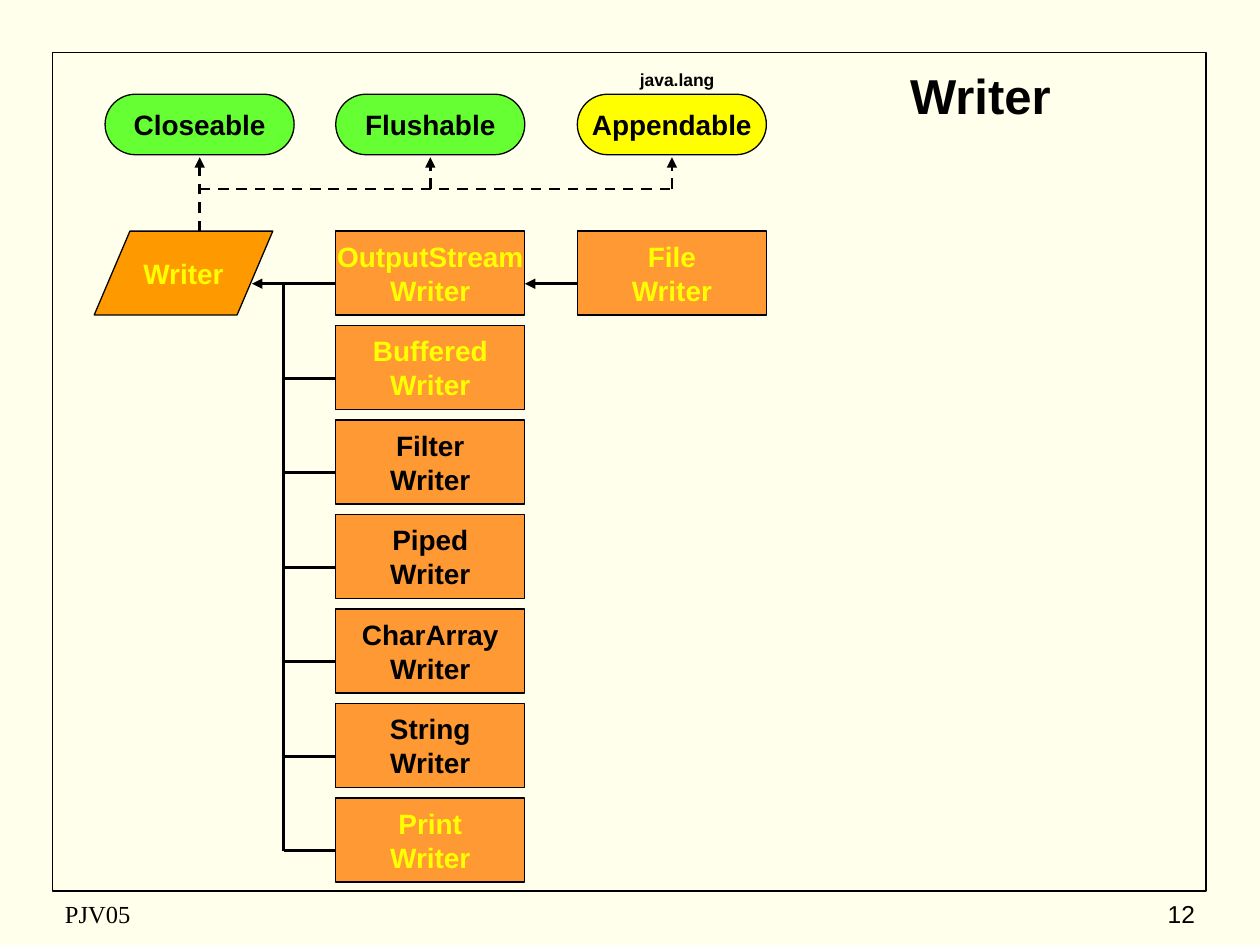
from dataclasses import dataclass

from lxml.etree import SubElement
from pptx import Presentation
from pptx.dml.color import RGBColor
from pptx.enum.dml import MSO_LINE_DASH_STYLE as Dash
from pptx.enum.shapes import MSO_CONNECTOR as Connector, MSO_SHAPE as Shape
from pptx.enum.text import MSO_ANCHOR as Anchor, PP_ALIGN as Align
from pptx.oxml.ns import qn
from pptx.util import Cm, Pt

BLACK, YELLOW, GREEN = "000000", "FFFF00", "66FF33"
ORANGE, DEEP_ORANGE, CREAM = "FF9933", "FF9900", "FFFFEB"

BOX_WIDTH, BOX_HEIGHT = 3.81, 1.69
ROW_TOP, ROW_STEP = 4.66, BOX_WIDTH / 2
LINK_DROP = 1.06
STREAM_LEFT, FILE_LEFT = 6.77, 11.64
TRUNK_X = 5.72
INTERFACE_TOP, INTERFACE_HEIGHT = 1.9, 1.22
BUS_Y, ARROW_TIP_Y = 3.81, 3.17


@dataclass(frozen=True)
class Node:
    lines: tuple[str, ...]
    left: float
    top: float
    fill: str = ORANGE
    ink: str = YELLOW
    kind: Shape = Shape.FLOWCHART_PROCESS
    width: float = BOX_WIDTH
    height: float = BOX_HEIGHT


@dataclass(frozen=True)
class Link:
    start: tuple[float, float]
    end: tuple[float, float]
    arrow: bool = False
    dashed: bool = False


@dataclass(frozen=True)
class Label:
    text: str
    left: float
    top: float
    width: float
    height: float
    size: int
    font: str = "Arial"
    bold: bool = False
    align: Align = Align.LEFT
    anchor: Anchor = Anchor.MIDDLE


def color(value: str) -> RGBColor:
    return RGBColor.from_string(value)


def write(frame, lines: tuple[str, ...], size: int, ink: str = BLACK,
          font: str = "Arial", bold: bool = True, align: Align = Align.CENTER,
          anchor: Anchor = Anchor.MIDDLE, wrap: bool = True) -> None:
    frame.word_wrap = wrap
    frame.vertical_anchor = anchor
    frame.text = "\n".join(lines)
    for para in frame.paragraphs:
        para.alignment = align
        para.font.name = font
        para.font.size = Pt(size)
        para.font.bold = bold
        para.font.color.rgb = color(ink)


def draw_frame(page) -> None:
    box = page.shapes.add_shape(Shape.RECTANGLE, Cm(1.06), Cm(1.06), Cm(23.25), Cm(16.9))
    box.shadow.inherit = False
    box.fill.background()
    box.line.color.rgb = color(BLACK)
    box.line.width = Pt(1)


def draw_node(page, node: Node) -> None:
    box = page.shapes.add_shape(
        node.kind, Cm(node.left), Cm(node.top), Cm(node.width), Cm(node.height))
    box.shadow.inherit = False
    box.fill.solid()
    box.fill.fore_color.rgb = color(node.fill)
    box.line.color.rgb = color(BLACK)
    box.line.width = Pt(0.75)
    write(box.text_frame, node.lines, 16, node.ink, wrap=False)


def draw_link(page, link: Link) -> None:
    line = page.shapes.add_connector(
        Connector.STRAIGHT, *(Cm(value) for value in link.start + link.end))
    line.line.color.rgb = color(BLACK)
    line.line.width = Pt(1.5)
    if link.dashed:
        line.line.dash_style = Dash.DASH
    properties = line._element.spPr
    if link.arrow:
        SubElement(properties.find(qn("a:ln")), qn("a:tailEnd"), type="triangle")
    SubElement(properties, qn("a:effectLst"))


def draw_label(page, label: Label) -> None:
    box = page.shapes.add_textbox(
        Cm(label.left), Cm(label.top), Cm(label.width), Cm(label.height))
    write(box.text_frame, (label.text,), label.size, font=label.font,
          bold=label.bold, align=label.align, anchor=label.anchor)


def interface(name: str, left: float, fill: str) -> Node:
    return Node((name,), left, INTERFACE_TOP, fill, BLACK,
                Shape.FLOWCHART_TERMINATOR, height=INTERFACE_HEIGHT)


SUBCLASSES = (
    ("OutputStream", YELLOW),
    ("Buffered", YELLOW),
    ("Filter", BLACK),
    ("Piped", BLACK),
    ("CharArray", BLACK),
    ("String", BLACK),
    ("Print", YELLOW),
)
INTERFACES = (
    interface("Closeable", 2.12, GREEN),
    interface("Flushable", STREAM_LEFT, GREEN),
    interface("Appendable", FILE_LEFT, YELLOW),
)
LABELS = (
    Label("java.lang", 12.06, 1.27, 3.18, 0.69, 10, bold=True,
          align=Align.CENTER, anchor=Anchor.TOP),
    Label("PJV05", 1.06, 17.99, 8.04, 0.85, 14, "Times New Roman"),
    Label("12", 19.05, 17.99, 5.29, 0.85, 14, align=Align.RIGHT),
)


def build_nodes() -> list[Node]:
    base = Node(("Writer",), 1.9, ROW_TOP, DEEP_ORANGE,
                kind=Shape.FLOWCHART_DATA, width=3.6)
    children = [Node((name, "Writer"), STREAM_LEFT, ROW_TOP + row * ROW_STEP, ink=ink)
                for row, (name, ink) in enumerate(SUBCLASSES)]
    return [base, *children, Node(("File", "Writer"), FILE_LEFT, ROW_TOP), *INTERFACES]


def build_links() -> list[Link]:
    levels = [ROW_TOP + LINK_DROP + row * ROW_STEP for row in range(len(SUBCLASSES))]
    first, last = levels[0], levels[-1]
    centers = [node.left + node.width / 2 for node in INTERFACES]
    return [
        Link((TRUNK_X, last), (TRUNK_X, first)),
        Link((STREAM_LEFT, first), (5.08, first), arrow=True),
        Link((FILE_LEFT, first), (STREAM_LEFT + BOX_WIDTH, first), arrow=True),
        *(Link((STREAM_LEFT, level), (TRUNK_X, level)) for level in levels[1:]),
        Link((centers[0], BUS_Y), (centers[-1], BUS_Y), dashed=True),
        *(Link((center, start), (center, ARROW_TIP_Y), arrow=True, dashed=True)
          for center, start in zip(centers, (ROW_TOP, BUS_Y, BUS_Y))),
    ]


def main() -> None:
    deck = Presentation()
    deck.slide_width, deck.slide_height = Cm(25.4), Cm(19.05)
    page = deck.slides.add_slide(deck.slide_layouts[5])
    page.background.fill.solid()
    page.background.fill.fore_color.rgb = color(CREAM)

    title = page.shapes.title
    title.left, title.top, title.width, title.height = Cm(15.88), Cm(1.27), Cm(8.04), Cm(1.27)
    write(title.text_frame, ("Writer ",), 28)

    draw_frame(page)
    for link in build_links():
        draw_link(page, link)
    for node in build_nodes():
        draw_node(page, node)
    for label in LABELS:
        draw_label(page, label)
    deck.save("out.pptx")


if __name__ == "__main__":
    main()
